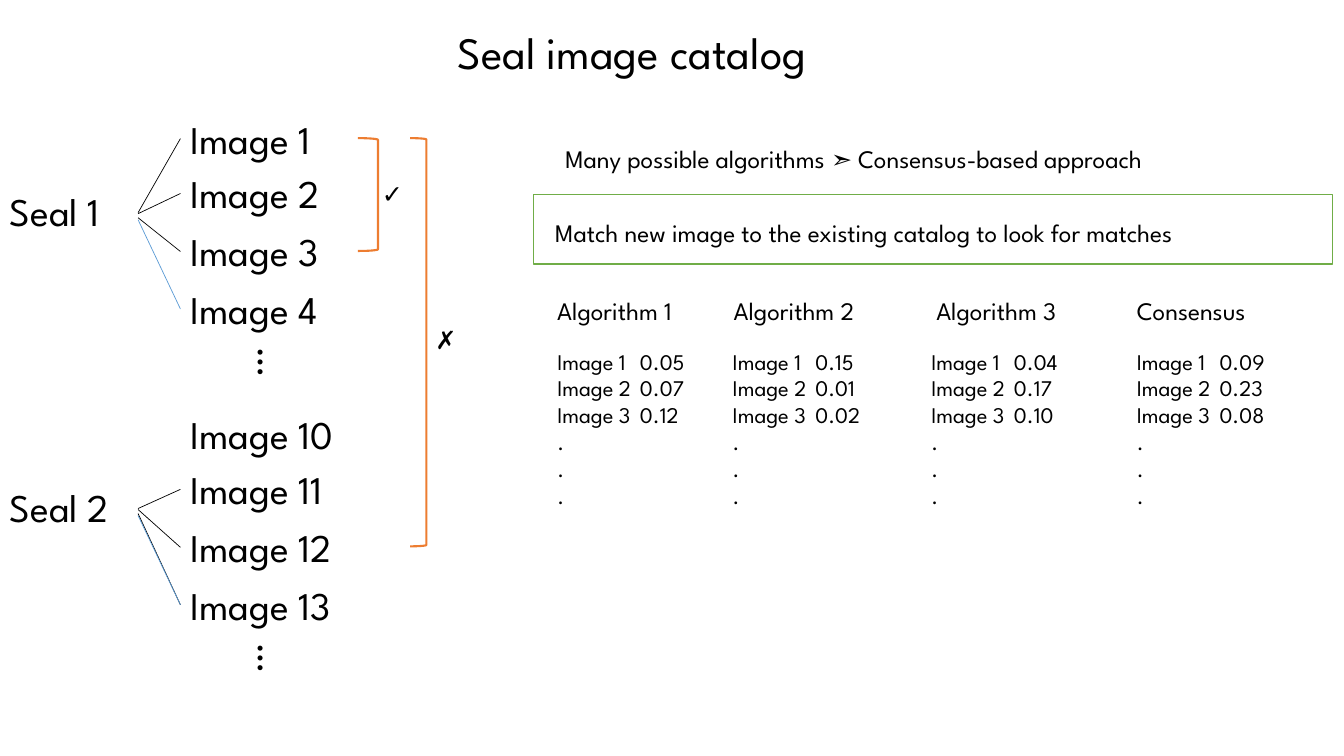
import pptx
import pptx.util
import pptx.dml.color
import pptx.enum.shapes
import pptx.enum.text
import pptx.oxml.ns
import lxml.etree

SHAPES = pptx.enum.shapes.MSO_SHAPE
BLACK, BLUE, ORANGE, GREEN, WHITE = "000000", "5B9BD5", "ED7D31", "70AD47", "FFFFFF"
TEXT_FONT, SYMBOL_FONT = "League Spartan", "Calibri"


def cells(count):
    """Columns and rows of the grid are a tenth of an inch each."""
    return pptx.util.Inches(count / 10)


def color(hex_string):
    return pptx.dml.color.RGBColor.from_string(hex_string)


class Board:
    def __init__(self, deck):
        self.page = deck.slides.add_slide(deck.slide_layouts[5])

    def add_run(self, para, words, size, font=TEXT_FONT):
        span = para.add_run()
        span.text = words
        span.font.size = pptx.util.Pt(size)
        span.font.name = font
        span.font.color.rgb = color(BLACK)

    def title(self, words, column, row, width, height):
        box = self.page.shapes.title
        box.left, box.top, box.width, box.height = map(cells, (column, row, width, height))
        box.text_frame.vertical_anchor = pptx.enum.text.MSO_ANCHOR.TOP
        para = box.text_frame.paragraphs[0]
        para.alignment = pptx.enum.text.PP_ALIGN.LEFT
        self.add_run(para, words, 32)

    def text(self, lines, column, row, width, height, size, tab=None, rotation=0):
        """Each line is a list of (words, font) runs."""
        box = self.page.shapes.add_textbox(*map(cells, (column, row, width, height)))
        box.rotation = rotation
        frame = box.text_frame
        frame.word_wrap = True
        frame.auto_size = pptx.enum.text.MSO_AUTO_SIZE.SHAPE_TO_FIT_TEXT
        for index, line in enumerate(lines):
            para = frame.add_paragraph() if index else frame.paragraphs[0]
            if tab:
                properties = para._p.get_or_add_pPr()
                stops = lxml.etree.SubElement(properties, pptx.oxml.ns.qn("a:tabLst"))
                lxml.etree.SubElement(stops, pptx.oxml.ns.qn("a:tab"),
                                      pos=str(cells(tab)), algn="l")
            for words, font in line:
                self.add_run(para, words, size, font)
        return box

    def label(self, words, column, row, width, height, size, font=TEXT_FONT, rotation=0):
        return self.text([[(words, font)]], column, row, width, height, size,
                         rotation=rotation)

    def outline(self, kind, column, row, width, height, line, weight, fill=None):
        shape = self.page.shapes.add_shape(kind, *map(cells, (column, row, width, height)))
        shape.shadow.inherit = False
        if fill:
            shape.fill.solid()
            shape.fill.fore_color.rgb = color(fill)
        else:
            shape.fill.background()
        shape.line.color.rgb = color(line)
        shape.line.width = pptx.util.Pt(weight)

    def spoke(self, column, row, target, line):
        """Line from a grid point to the middle of the target's left side."""
        connector = self.page.shapes.add_connector(
            pptx.enum.shapes.MSO_CONNECTOR.STRAIGHT, cells(column), cells(row),
            target.left, target.top + target.height // 2)
        connector.end_connect(target, 1)
        connector.line.color.rgb = color(line)
        connector.line.width = pptx.util.Pt(0.5)
        lxml.etree.SubElement(connector._element.spPr, pptx.oxml.ns.qn("a:effectLst"))


# Seal groups: name, top row, first image number, image box width, spoke targets
SEALS = [
    ("Seal 1", 10.9, 1, 18.6, (0, 1, 2, 3)),
    ("Seal 2", 40.25, 10, 21.6, (1, 2, 3, 3)),
]
IMAGE_ROWS = (0, 5.45, 11.2, 16.9)
SPOKE_ROWS = (10.2, 10.3, 10.7, 10.9)
SPOKE_COLORS = (BLACK, BLACK, BLACK, BLUE)

# Score columns: heading, heading column, score column, scores
SCORES = [
    ("Algorithm 1", 54.3, 54.3, ("0.05", "0.07", "0.12")),
    ("Algorithm 2", 71.8, 71.7, ("0.15", "0.01", "0.02")),
    ("Algorithm 3", 91.9, 91.4, ("0.04", "0.17", "0.10")),
    ("Consensus", 111.8, 111.8, ("0.09", "0.23", "0.08")),
]


def main():
    deck = pptx.Presentation()
    deck.slide_width, deck.slide_height = cells(133.33), cells(75)
    board = Board(deck)
    board.title("Seal image catalog", 44.4, 1.9, 52.9, 6.4)

    # Seals with their images
    for name, top, first, width, targets in SEALS:
        board.label(name, 0, top + 7.2, 15.1, 5.7, 28)
        images = [board.label(f"Image {first + index}", 17.9, top + row, width, 5.7, 28)
                  for index, row in enumerate(IMAGE_ROWS)]
        board.label("…", 23.8, top + 23.1, 6.7, 5.7, 28, rotation=90)
        for row, target, line in zip(SPOKE_ROWS, targets, SPOKE_COLORS):
            board.spoke(13.7, top + row, images[target], line)

    # Brackets for matching and non-matching pairs
    board.outline(SHAPES.RIGHT_BRACKET, 35.5, 13.7, 2, 11.2, ORANGE, 1.5)
    board.outline(SHAPES.RIGHT_BRACKET, 40.7, 13.7, 1.6, 40.5, ORANGE, 1.5)
    board.label("✓", 36.9, 17.2, 7.4, 4, 18, SYMBOL_FONT)
    board.label("✗", 42.2, 31.7, 8.8, 4, 18, SYMBOL_FONT)

    # Approach and framed task
    board.text([[("Many possible algorithms ", TEXT_FONT), ("➣ ", SYMBOL_FONT),
                 ("Consensus-based approach", TEXT_FONT)]], 55.1, 13.7, 70.9, 4, 18)
    board.outline(SHAPES.RECTANGLE, 52.9, 19.3, 79.3, 6.9, GREEN, 1, WHITE)
    board.label("Match new image to the existing catalog to look for matches",
                54.1, 21.1, 76.9, 4, 18)

    # Scores of each algorithm and their consensus
    for heading, heading_column, score_column, scores in SCORES:
        board.label(heading, heading_column, 28.8, 16, 4, 18)
        lines = [f"Image {number}\t{score}" for number, score in enumerate(scores, 1)]
        board.text([[(line, TEXT_FONT)] for line in lines + ["."] * 3],
                   score_column, 34, 18.1, 17.2, 16, tab=8.2)

    deck.save("out.pptx")


if __name__ == "__main__":
    main()
